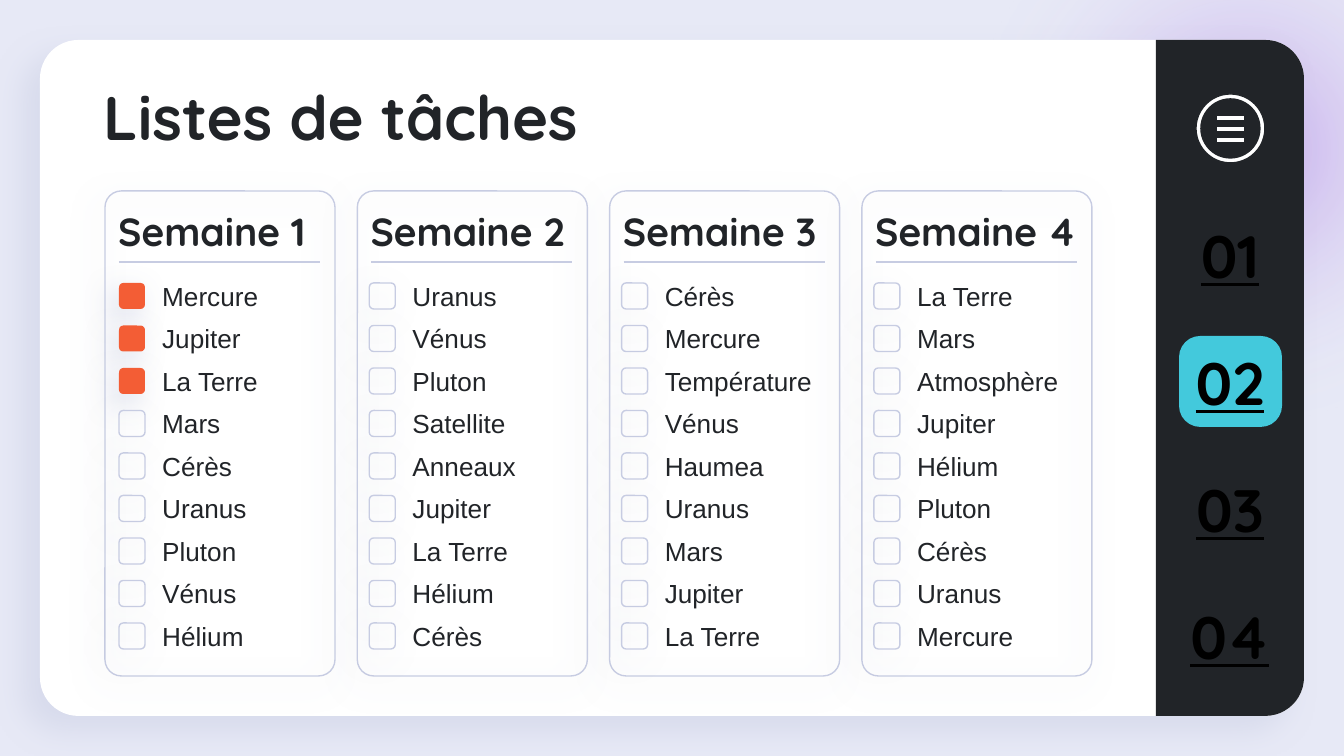
from pptx import Presentation
from pptx import util as u
from pptx.dml.color import RGBColor
from pptx.enum import shapes, text
from pptx.oxml import parse_xml
from pptx.oxml.ns import nsdecls, qn

PX = 914400 / 134.4
INK = RGBColor(0x21, 0x24, 0x28)
BLACK = RGBColor(0, 0, 0)
WHITE = RGBColor(255, 255, 255)
LILAC = RGBColor(0xC7, 0xCC, 0xE2)
VIOLET = RGBColor(0xA2, 0x64, 0xE3)
MIST = RGBColor(0xE7, 0xE9, 0xF6)
ORANGE = RGBColor(0xF3, 0x5D, 0x35)
CYAN = RGBColor(0x43, 0xC9, 0xDC)
ROUND = shapes.MSO_SHAPE.ROUNDED_RECTANGLE
SOFT = (63, 15.8, 6, 128)

WEEKS = [
    ("Semaine 1", 14, 3, ["Mercure", "Jupiter", "La Terre", "Mars", "Cérès",
                          "Uranus", "Pluton", "Vénus", "Hélium"]),
    ("Semaine 2", 12, 0, ["Uranus", "Vénus", "Pluton", "Satellite", "Anneaux",
                          "Jupiter", "La Terre", "Hélium", "Cérès"]),
    ("Semaine 3", 12, 0, ["Cérès", "Mercure", "Température", "Vénus", "Haumea",
                          "Uranus", "Mars", "Jupiter", "La Terre"]),
    ("Semaine 4", 12, 0, ["La Terre", "Mars", "Atmosphère", "Jupiter", "Hélium",
                          "Pluton", "Cérès", "Uranus", "Mercure"]),
]


def px(*lengths):
    return [u.Emu(round(n * PX)) for n in lengths]


def paint(sp, fill=None, line=None, shadow=None):
    if fill is None:
        sp.fill.background()
    else:
        sp.fill.solid()
        sp.fill.fore_color.rgb = fill
    if line is None:
        sp.line.fill.background()
    else:
        sp.line.color.rgb = line
        sp.line.width = u.Pt(0.75)
    sp.shadow.inherit = False
    if shadow:
        alpha, blur, dist, angle = shadow
        sp._element.spPr.find(qn("a:effectLst")).append(parse_xml(
            f'<a:outerShdw {nsdecls("a")} blurRad="{u.Pt(blur)}" dist="{u.Pt(dist)}" '
            f'dir="{angle * 60000}" algn="bl" rotWithShape="0"><a:srgbClr val="{LILAC}">'
            f'<a:alpha val="{alpha * 1000}"/></a:srgbClr></a:outerShdw>'))


def add_box(parent, kind, box, adj=(), **look):
    sp = parent.add_shape(kind, *px(*box))
    for i, value in enumerate(adj):
        sp.adjustments[i] = value
    paint(sp, **look)
    return sp


def add_text(parent, box, words, size, font="Quicksand", color=INK, bold=True,
             underline=None, align=None, anchor=text.MSO_ANCHOR.TOP, bottom=0, grow=False):
    sp = parent.add_textbox(*px(*box))
    tf = sp.text_frame
    tf.word_wrap = True
    tf.auto_size = text.MSO_AUTO_SIZE.SHAPE_TO_FIT_TEXT if grow else text.MSO_AUTO_SIZE.NONE
    tf.vertical_anchor = anchor
    tf.margin_top = 0
    tf.margin_bottom = u.Inches(bottom)
    p = tf.paragraphs[0]
    p.alignment = align
    r = p.add_run()
    r.text = words
    r.font.name, r.font.size, r.font.bold = font, u.Pt(size), bold
    r.font.underline = underline
    r.font.color.rgb = color


def add_glow(parent, box):
    sp = add_box(parent, shapes.MSO_SHAPE.OVAL, box)
    stops = "".join(
        f'<a:gs pos="{pos * 1000}"><a:srgbClr val="{color}">'
        f'<a:alpha val="{alpha * 1000}"/></a:srgbClr></a:gs>'
        for pos, color, alpha in [(0, VIOLET, 49), (62, MIST, 0), (100, WHITE, 0)])
    spPr = sp._element.spPr
    spPr.replace(spPr.find(qn("a:noFill")), parse_xml(
        f'<a:gradFill {nsdecls("a")} rotWithShape="1"><a:gsLst>{stops}</a:gsLst>'
        '<a:path path="circle"><a:fillToRect l="50000" t="50000" r="50000" b="50000"/>'
        '</a:path></a:gradFill>'))


def add_panel(parent, box, side):
    x, y, w, h = box
    add_box(parent, ROUND, box, adj=[0.057], fill=WHITE, shadow=(47, 16.9, 12, 137))
    left, top = x + w - (side + h) / 2, y + (h - side) / 2
    bar = add_box(parent, shapes.MSO_SHAPE.ROUND_2_SAME_RECTANGLE,
                  (left, top, h, side), adj=[0.261, 0], fill=INK)
    bar.rotation = 90


def add_menu_icon(parent, box):
    x, y, w, h = box
    cx, cy = x + w / 2, y + h / 2
    radii = [w / 2, w / 2 - 5]
    outlines = [[(cx + r, cy), (cx, cy + r), (cx - r, cy), (cx, cy - r), (cx + r, cy)]
                for r in radii]
    for top in (y + 21, y + 32, y + 43):
        outlines.append([(cx - 14, top), (cx + 14, top), (cx + 14, top + 6), (cx - 14, top + 6)])
    builder = parent.build_freeform(*px(*outlines[0][0]))
    for i, outline in enumerate(outlines):
        points = [px(*point) for point in outline]
        if i:
            builder.move_to(*points[0])
        builder.add_line_segments(points[1:], close=True)
    sp = builder.convert_to_shape()
    for i, side in enumerate(list(sp._element.iter(qn("a:lnTo")))[:8]):
        r = px(radii[i // 4])[0]
        side.getparent().replace(side, parse_xml(
            f'<a:arcTo {nsdecls("a")} wR="{r}" hR="{r}" '
            f'stAng="{i % 4 * 5400000}" swAng="5400000"/>'))
    paint(sp, fill=WHITE, line=INK)


def add_task(parent, x, y, name, done):
    task = parent.add_group_shape().shapes
    add_text(task, (x + 30, y - 3, 176, 32), name, 14, font="Arial", bold=False)
    add_box(task, ROUND, (x, y, 26, 26), adj=[0.167], shadow=SOFT,
            fill=ORANGE if done else None, line=None if done else LILAC)


def add_week(parent, box, title, indent, done, tasks):
    x, y, w, h = box
    add_box(parent, ROUND, box, adj=[0.071], line=LILAC, shadow=SOFT)
    rule = parent.add_connector(shapes.MSO_CONNECTOR.STRAIGHT,
                                *px(x + 14, y + 71, x + w - 15, y + 71))
    rule.line.color.rgb = LILAC
    rule.line.width = u.Pt(0.75)
    rule._element.spPr.append(parse_xml(f'<a:effectLst {nsdecls("a")}/>'))
    add_text(parent, (x, y + 16, w, 51), title, 21)
    for i, name in enumerate(tasks):
        add_task(parent, x + indent, y + 92 + 42.5 * i, name, i < done)


def add_navigation(parent, box, pitch, current):
    x, y, w, h = box
    for i in range(4):
        top = y + pitch * i
        if i == current:
            add_box(parent, ROUND, (x + 3, top - 9, w - 5, h + 18), adj=[0.234], fill=CYAN)
        add_text(parent, (x, top, w, h), f"{i + 1:02}", 32, color=BLACK, underline=True,
                 align=text.PP_ALIGN.CENTER, anchor=text.MSO_ANCHOR.MIDDLE, grow=True)


def main():
    prs = Presentation()
    prs.slide_width, prs.slide_height = px(1344, 756)
    s = prs.slides.add_slide(prs.slide_layouts[6])
    s.background.fill.solid()
    s.background.fill.fore_color.rgb = MIST
    add_glow(s.shapes, (931, -164, 626, 626))
    add_panel(s.shapes, (40, 40, 1264, 676), 148)
    add_menu_icon(s.shapes, (1196, 94, 69, 69))
    for i, week in enumerate(WEEKS):
        add_week(s.shapes, (105 + 252.3 * i, 191, 230, 485), *week)
    add_text(s.shapes, (90, 79, 1001, 70), "Listes de tâches", 33, bottom=0.1)
    add_navigation(s.shapes, (1176, 218, 108, 73), 127, 1)
    prs.save("out.pptx")


if __name__ == "__main__":
    main()
